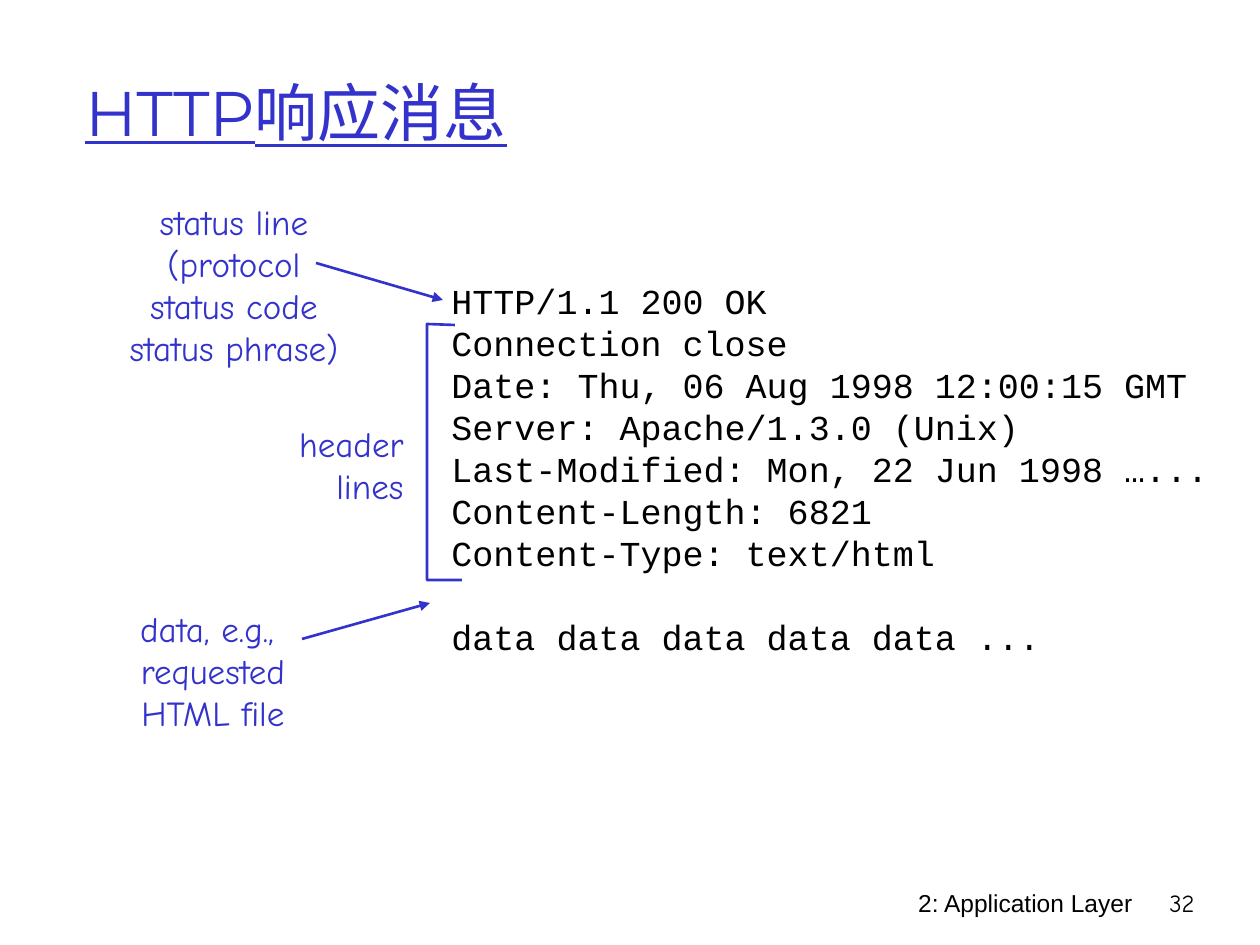
from lxml.etree import SubElement
from pptx import Presentation
from pptx.dml.color import RGBColor
from pptx.enum.shapes import MSO_CONNECTOR
from pptx.enum.text import MSO_ANCHOR, PP_ALIGN
from pptx.oxml.ns import qn
from pptx.util import Pt

PX = 914400 // 126
BLUE, BLACK, WHITE = "3333CC", "000000", "FFFFFF"
LABEL_FONT, CODE_FONT = "Comic Neue", "Courier New"
LINE_PITCH = 24

RESPONSE = [
    "HTTP/1.1 200 OK",
    "Connection close",
    "Date: Thu, 06 Aug 1998 12:00:15 GMT",
    "Server: Apache/1.3.0 (Unix)",
    "Last-Modified: Mon, 22 Jun 1998 …...",
    "Content-Length: 6821",
    "Content-Type: text/html",
    "data data data data data ...",
]


def color(value):
    return RGBColor.from_string(value)


def add_text(page, frame, lines, font, size, fill,
             align=PP_ALIGN.LEFT, pitch=None, wrap=False):
    box = page.shapes.add_textbox(*(value * PX for value in frame))
    text = box.text_frame
    text.word_wrap = wrap
    text.text = "\n".join(lines)
    for para in text.paragraphs:
        para.alignment = align
        if pitch:
            para.line_spacing = Pt(pitch)
        for span in para.runs:
            span.font.name = font
            span.font.size = Pt(size)
            span.font.color.rgb = color(fill)
    return box


def add_label(page, frame, lines, align=PP_ALIGN.CENTER):
    add_text(page, frame, lines, LABEL_FONT, 20, BLUE, align, LINE_PITCH)


def style_line(shape):
    shape.line.color.rgb = color(BLUE)
    shape.line.width = Pt(1.5)


def add_arrow(page, start, end):
    points = (value * PX for value in start + end)
    arrow = page.shapes.add_connector(MSO_CONNECTOR.STRAIGHT, *points)
    style_line(arrow)
    SubElement(arrow.line._get_or_add_ln(), qn("a:tailEnd"), type="triangle")
    SubElement(arrow._element.spPr, qn("a:effectLst"))


def add_bracket(page, first, *others):
    builder = page.shapes.build_freeform(*first, scale=PX)
    builder.add_line_segments(others, close=False)
    bracket = builder.convert_to_shape()
    bracket.shadow.inherit = False
    bracket.fill.background()
    style_line(bracket)


def add_title(page, words):
    box = add_text(page, (73, 32, 1071, 158), [words], "Montserrat", 36, BLUE,
                   wrap=True)
    box.text_frame.vertical_anchor = MSO_ANCHOR.MIDDLE
    box.text_frame.paragraphs[0].runs[0].font.underline = True


def main():
    deck = Presentation()
    deck.slide_width, deck.slide_height = 1260 * PX, 945 * PX
    page = deck.slides.add_slide(deck.slide_layouts[6])
    page.background.fill.solid()
    page.background.fill.fore_color.rgb = color(WHITE)

    # Footer and title
    add_text(page, (746, 882, 399, 63), ["2: Application Layer"], "Arial", 14,
             BLACK, PP_ALIGN.RIGHT, wrap=True)
    add_text(page, (1144, 882, 63, 63), ["32"], LABEL_FONT, 14,
             BLACK, PP_ALIGN.RIGHT, wrap=True)
    add_title(page, "HTTP响应消息")

    # Response message, with a one-line gap before the body
    message = add_text(page, (439, 273, 803, 391), RESPONSE, CODE_FONT, 20,
                       BLACK, pitch=LINE_PITCH)
    message.text_frame.paragraphs[-1].space_before = Pt(LINE_PITCH)

    # Status line
    add_label(page, (103, 194, 262, 180),
              ["status line", "(protocol", "status code", "status phrase)"])
    add_arrow(page, (316, 263), (443, 300))

    # Header lines
    add_bracket(page, (455, 325), (427, 324), (427, 580), (462, 580))
    add_label(page, (276, 416, 140, 97), ["header", "lines"], PP_ALIGN.RIGHT)

    # Message body
    add_label(page, (116, 601, 194, 139),
              ["data, e.g., ", "requested", "HTML file"])
    add_arrow(page, (302, 639), (430, 603))

    deck.save("out.pptx")


if __name__ == "__main__":
    main()
